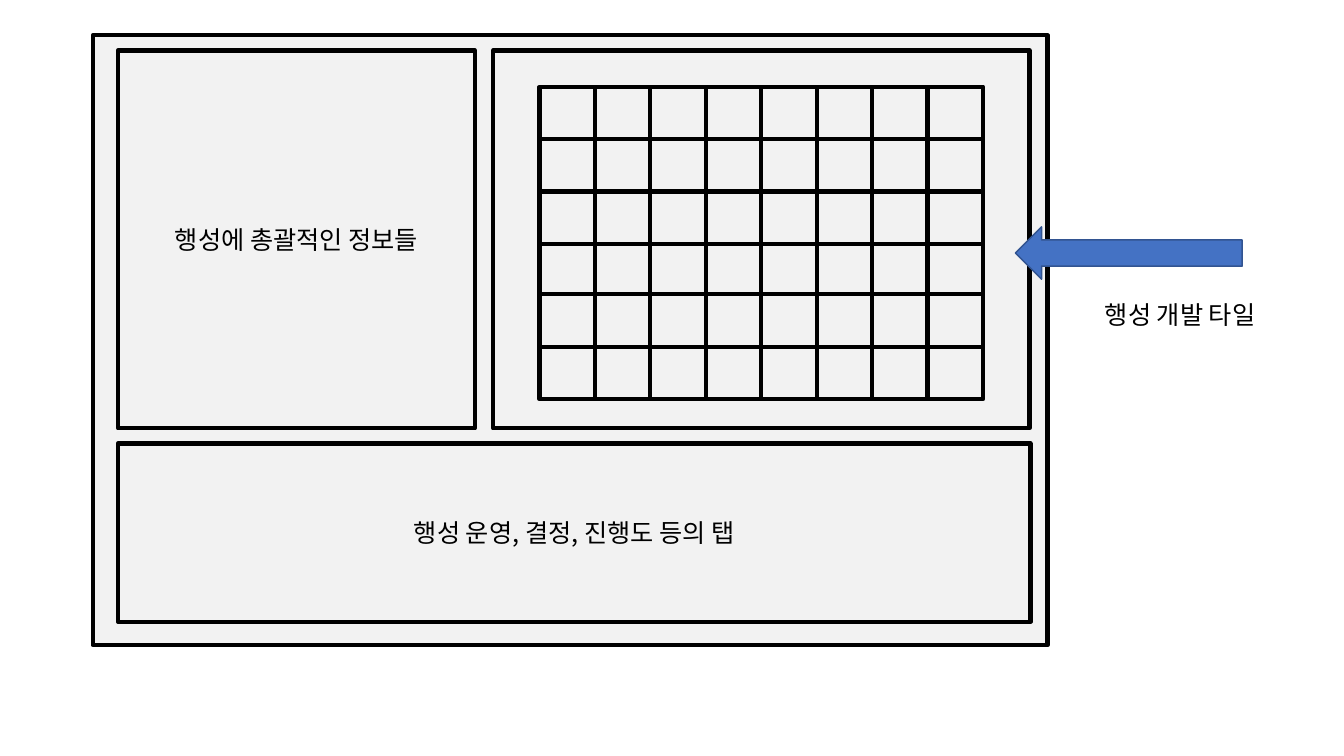
from itertools import product
from lxml.etree import SubElement
from pptx import Presentation
from pptx.dml.color import RGBColor
from pptx.enum.shapes import MSO_SHAPE
from pptx.enum.text import MSO_ANCHOR, MSO_AUTO_SIZE, PP_ALIGN
from pptx.oxml.ns import qn
from pptx.util import Inches, Pt

FONT = "Noto Sans CJK KR"
INK, GRAY, BLUE, NAVY = "000000", "F2F2F2", "4472C4", "325491"

PANELS = [
    ((0.92, 0.35, 9.47, 6.05), ""),
    ((1.17, 0.5, 3.54, 3.75), "행성에 총괄적인 정보들"),
    ((4.89, 0.5, 5.32, 3.75), ""),
    ((1.17, 4.4, 9.05, 1.77), "행성 운영, 결정, 진행도 등의 탭"),
]
LEFT, COLS, WIDE, HIGH = 5.35, 8, 0.55, 0.52
BANDS = [0.86, 1.9, 2.92]
ARROW = (10.07, 2.25, 2.25, 0.52)
LABEL = (10.86, 2.92, 1.99, 0.4), "행성 개발 타일"


def color(code):
    return RGBColor.from_string(code)


def write(frame, text, align):
    frame.text = text
    frame.word_wrap = True
    para = frame.paragraphs[0]
    para.alignment = align
    for run in para.runs:
        font = run.font
        font.size, font.name = Pt(18), FONT
        font.color.rgb = color(INK)
        SubElement(run._r.get_or_add_rPr(), qn("a:ea")).set("typeface", FONT)


def draw(home, box, kind=MSO_SHAPE.RECTANGLE, fill=GRAY, line=INK, width=3):
    shape = home.add_shape(kind, *map(Inches, box))
    shape.shadow.inherit = False
    shape.fill.solid()
    shape.fill.fore_color.rgb = color(fill)
    shape.line.color.rgb = color(line)
    shape.line.width = Pt(width)
    return shape


deck = Presentation()
deck.slide_width, deck.slide_height = Inches(13.33), Inches(7.5)
shapes = deck.slides.add_slide(deck.slide_layouts[6]).shapes

for box, text in PANELS:
    panel = draw(shapes, box)
    if text:
        write(panel.text_frame, text, PP_ALIGN.CENTER)
        panel.text_frame.vertical_anchor = MSO_ANCHOR.MIDDLE

tiles = shapes.add_group_shape().shapes
for top, row, col in product(BANDS, range(2), range(COLS)):
    draw(tiles, (LEFT + col * WIDE, top + row * HIGH, WIDE, HIGH))

arrow = draw(shapes, ARROW, MSO_SHAPE.RIGHT_ARROW, BLUE, NAVY, 1)
arrow.rotation = 180

box, text = LABEL
label = shapes.add_textbox(*map(Inches, box)).text_frame
write(label, text, PP_ALIGN.LEFT)
label.auto_size = MSO_AUTO_SIZE.SHAPE_TO_FIT_TEXT

deck.save("out.pptx")
